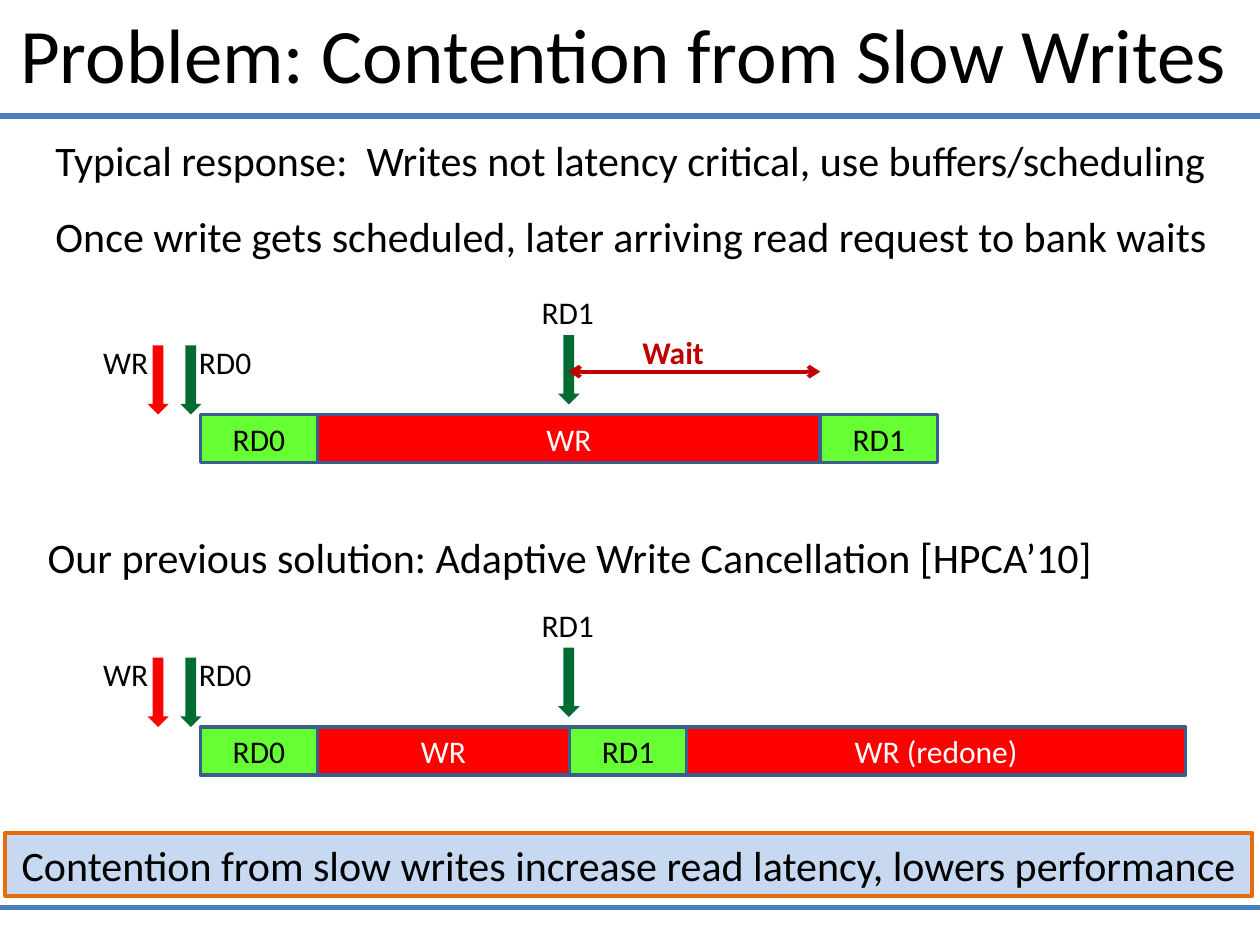
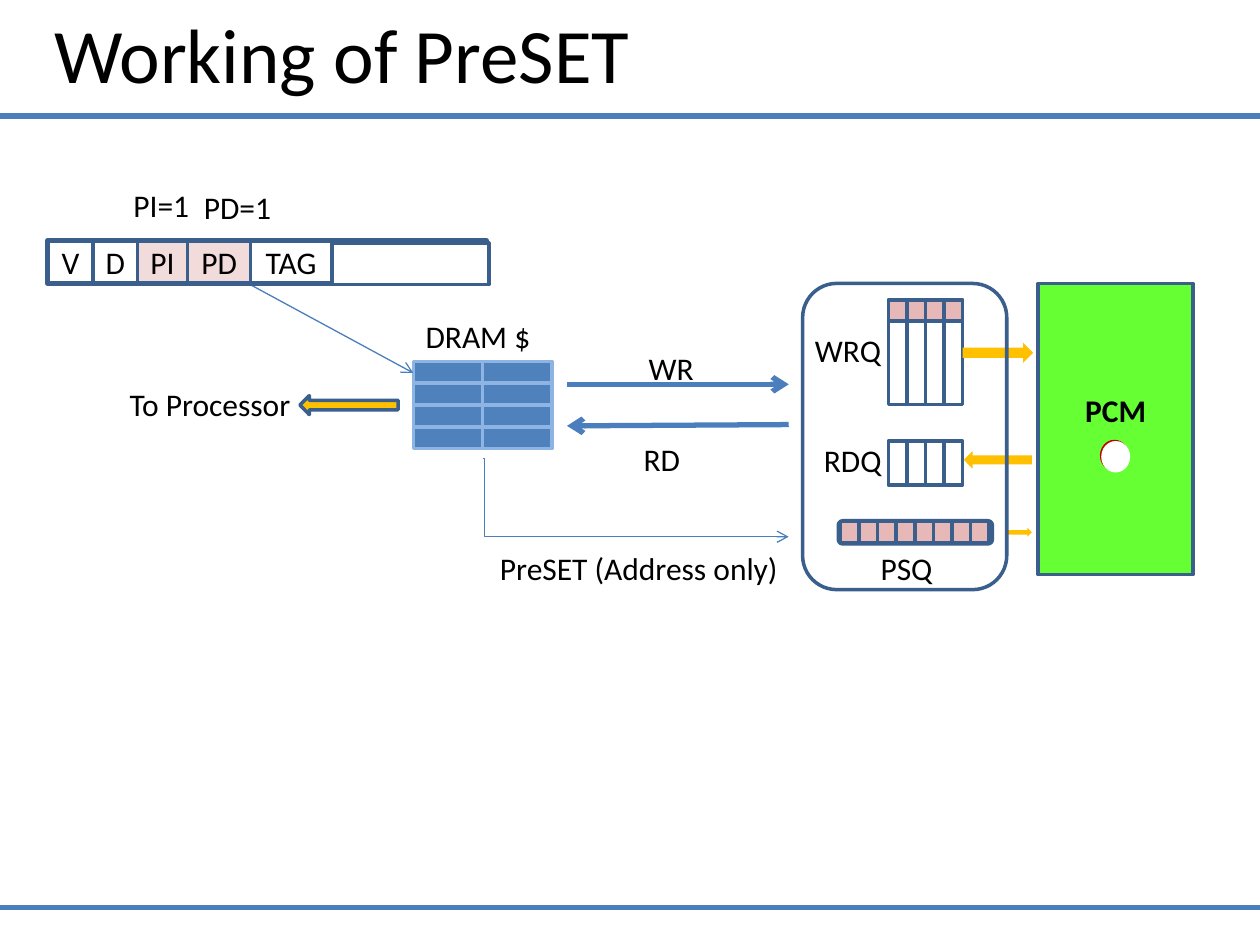
import itertools

import pptx
import pptx.dml.color
import pptx.enum.shapes
import pptx.enum.text
import pptx.oxml.ns
import pptx.util
from lxml import etree
from pptx.util import Inches

SHAPE = pptx.enum.shapes.MSO_SHAPE
CONNECTOR = pptx.enum.shapes.MSO_CONNECTOR
ALIGN = pptx.enum.text.PP_ALIGN
ANCHOR = pptx.enum.text.MSO_ANCHOR
qn = pptx.oxml.ns.qn

BLACK, WHITE = "000000", "FFFFFF"
RULE_BLUE, EDGE_BLUE = "4B7EBC", "3A5F8C"
GREEN, DARK_GREEN = "66FF33", "006C31"
RED, DARK_RED = "FF0000", "C00000"
PINK, PALE_PINK, GOLD = "E6B9B8", "F2DCDB", "FFC000"

EDGE = (EDGE_BLUE, 2)
THICK_EDGE = (EDGE_BLUE, 3)


def rgb(color):
    return pptx.dml.color.RGBColor.from_string(color)


def set_all(target, **values):
    for name, value in values.items():
        setattr(target, name, value)


def write(para, text, size=18, color=BLACK, bold=False, align=ALIGN.LEFT):
    span = para.add_run()
    span.text = text
    set_all(span.font, name="Calibri", size=pptx.util.Pt(size), bold=bold)
    span.font.color.rgb = rgb(color)
    para.alignment = align


def place(shape, box):
    for name, value in zip(("left", "top", "width", "height"), box):
        setattr(shape, name, Inches(value))


def add_label(slide, left, top, width, text, wrap=False, height=0.4, **look):
    frame = slide.shapes.add_textbox(*map(Inches, (left, top, width, height))).text_frame
    frame.word_wrap = wrap
    write(frame.paragraphs[0], text, **look)


def add_block(slide, box, fill=None, edge=None, text="", kind=SHAPE.RECTANGLE, **look):
    """Add a preset shape; edge is (colour, points), None means no fill or line."""
    block = slide.shapes.add_shape(kind, *map(Inches, box))
    block.shadow.inherit = False
    if fill:
        block.fill.solid()
        block.fill.fore_color.rgb = rgb(fill)
    else:
        block.fill.background()
    if edge:
        block.line.color.rgb = rgb(edge[0])
        block.line.width = pptx.util.Pt(edge[1])
    else:
        block.line.fill.background()
    if text:
        frame = block.text_frame
        set_all(frame, margin_left=0, margin_right=0, vertical_anchor=ANCHOR.MIDDLE)
        write(frame.paragraphs[0], text, align=ALIGN.CENTER, **look)
    return block


def add_line(slide, start, end, width=3, color=RULE_BLUE, arrows=(), kind=CONNECTOR.STRAIGHT):
    """Add a connector; arrows names the ends that get an open arrowhead."""
    line = slide.shapes.add_connector(kind, *map(Inches, (*start, *end)))
    line.line.color.rgb = rgb(color)
    line.line.width = pptx.util.Pt(width)
    properties = line.element.spPr
    for arrow in arrows:
        etree.SubElement(properties.find(qn("a:ln")), qn(f"a:{arrow}"), type="arrow")
    etree.SubElement(properties, qn("a:effectLst"))
    return line


def add_grid(slide, box, rows, columns, fill=None, edge=EDGE):
    left, top, width, height = box
    cell_width, cell_height = width / columns, height / rows
    for row, column in itertools.product(range(rows), range(columns)):
        cell = (left + column * cell_width, top + row * cell_height, cell_width, cell_height)
        add_block(slide, cell, fill, edge)


def add_slide(deck, layout, title, left, width):
    slide = deck.slides.add_slide(deck.slide_layouts.get_by_name(layout))
    for y in (0.92, 7.2):
        add_line(slide, (0, y), (10, y))
    place(slide.shapes.title, (left, 0, width, 0.96))
    frame = slide.shapes.title.text_frame
    set_all(frame, vertical_anchor=ANCHOR.TOP, word_wrap=True,
            auto_size=pptx.enum.text.MSO_AUTO_SIZE.NONE)
    write(frame.paragraphs[0], title, size=44)
    return slide


def fill_body(slide, box, lines):
    body = slide.placeholders[1]
    place(body, box)
    frame = body.text_frame
    set_all(frame, auto_size=pptx.enum.text.MSO_AUTO_SIZE.NONE, word_wrap=True)
    for number, line in enumerate(lines):
        para = frame.add_paragraph() if number else frame.paragraphs[0]
        write(para, line, size=24)
        para.space_before = pptx.util.Pt(14.5 if number else 0)
        properties = para._p.get_or_add_pPr()
        properties.set("marL", "0")
        properties.set("indent", "0")
        etree.SubElement(properties, qn("a:buNone"))


def add_timeline(slide, left, top, blocks):
    """Draw the request arrivals and, below them, the bank's busy blocks in order."""
    arrivals = (
        ("WR", 0, 0.39, 0.45, 0.46, RED),
        ("RD0", 0.76, 0.39, 0.71, 0.46, DARK_GREEN),
        ("RD1", 3.48, 0, 3.71, 0.38, DARK_GREEN),
    )
    for text, label_x, label_y, arrow_x, arrow_y, color in arrivals:
        add_block(slide, (left + arrow_x, top + arrow_y, 0.17, 0.55), color,
                  kind=SHAPE.DOWN_ARROW)
        add_label(slide, left + label_x, top + label_y, 0.7, text)
    x = left + 0.87
    for text, width in blocks:
        is_write = text.startswith("WR")
        add_block(slide, (x, top + 1.01, width, 0.38), RED if is_write else GREEN, EDGE,
                  text, color=WHITE if is_write else BLACK)
        x += width


def add_wait(slide, left, top, width):
    add_line(slide, (left, top + 0.36), (left + width, top + 0.36), 2.25, DARK_RED,
             ("headEnd", "tailEnd"))
    add_label(slide, left + 0.49, top, 0.7, "Wait", color=DARK_RED, bold=True)


def add_cache_line(slide, left, top):
    """Draw the tag entry with its status bits."""
    fields = (("V", 0.36, WHITE), ("D", 0.35, WHITE), ("PI", 0.4, PALE_PINK),
              ("PD", 0.5, PALE_PINK), ("TAG", 0.64, WHITE))
    x = left
    for text, width, fill in fields:
        add_block(slide, (x, top, width, 0.34), fill, EDGE, text)
        x += width
    add_block(slide, (left, top, 3.48, 0.34), edge=THICK_EDGE)
    add_block(slide, (x + 0.01, top + 0.02, 1.24, 0.33), WHITE, EDGE)
    add_label(slide, left + 0.58, top - 0.48, 0.65, "PI=1")
    add_label(slide, left + 1.14, top - 0.47, 0.74, "PD=1")


def add_dram_cache(slide, left, top):
    add_grid(slide, (left, top, 1.1, 0.69), 4, 2, "4F81BD", ("8EB4E3", 2))
    add_label(slide, left, top - 0.4, 1.04, "DRAM $")
    add_block(slide, (left - 0.9, top + 0.27, 0.78, 0.15), GOLD, EDGE, kind=SHAPE.LEFT_ARROW)
    add_label(slide, left - 2.35, top + 0.14, 1.59, "To Processor")


def add_requests(slide, left, top):
    """Draw the traffic between the cache and the queues."""
    right = left + 1.76
    add_line(slide, (left, top), (right, top), arrows=("tailEnd",))
    add_line(slide, (right, top + 0.32), (left, top + 0.33), arrows=("tailEnd",))
    add_label(slide, left + 0.55, top - 0.33, 0.6, "WR")
    add_label(slide, left + 0.51, top + 0.39, 0.6, "RD")
    preset = add_line(slide, (left - 0.67, top + 0.59), (right, top + 1.21), 0.75,
                      arrows=("tailEnd",), kind=CONNECTOR.ELBOW)
    guides = preset.element.spPr.find(qn("a:prstGeom")).get_or_add_avLst()
    etree.SubElement(guides, qn("a:gd"), name="adj1", fmla="val 600")
    add_label(slide, left - 0.63, top + 1.26, 2.43, "PreSET (Address only)")


def add_queues(slide, left, top):
    """Draw the write, read and PreSET queues with their arrows to the memory."""
    queue_x = left + 0.68
    add_grid(slide, (queue_x, top + 0.3, 0.59, 0.66), 1, 4)
    add_grid(slide, (queue_x, top + 0.13, 0.59, 0.17), 1, 4, PINK)
    add_grid(slide, (queue_x, top + 1.25, 0.59, 0.35), 1, 4)
    add_block(slide, (left + 0.29, top + 1.89, 1.21, 0.17), edge=THICK_EDGE,
              kind=SHAPE.ROUNDED_RECTANGLE)
    add_grid(slide, (left + 0.3, top + 1.89, 1.18, 0.17), 1, 8, PINK)
    arrows = ((1.27, 0.47, 0.56, 0.16, SHAPE.RIGHT_ARROW),
              (1.28, 1.33, 0.54, 0.14, SHAPE.LEFT_ARROW),
              (1.62, 1.94, 0.2, 0.07, SHAPE.RIGHT_ARROW))
    for x, y, width, height, kind in arrows:
        add_block(slide, (left + x, top + y, width, height), GOLD, kind=kind)
    for text, x, y in (("WRQ", 0, 0.33), ("RDQ", 0.07, 1.2), ("PSQ", 0.52, 2.06)):
        add_label(slide, left + x, top + y, 0.8, text)
    add_block(slide, (left, top, 1.62, 2.43), edge=EDGE, kind=SHAPE.ROUNDED_RECTANGLE)


def add_memory(slide, left, top):
    memory = add_block(slide, (left, top, 1.23, 2.31), GREEN, EDGE, "PCM", bold=True)
    memory.text_frame.margin_bottom = Inches(0.35)
    for shift, color in ((0, DARK_RED), (0.01, WHITE)):
        add_block(slide, (left + 0.49 + shift, top + 1.24 + shift, 0.23, 0.25), color,
                  kind=SHAPE.OVAL)


def build_contention_slide(deck):
    slide = add_slide(deck, "Title and Content", "Problem: Contention from Slow Writes",
                      0.06, 9.94)
    fill_body(slide, (0.34, 1.02, 9.5, 1.11), (
        "Typical response:  Writes not latency critical, use buffers/scheduling",
        "Once write gets scheduled, later arriving read request to bank waits"))
    add_timeline(slide, 0.72, 2.28, (("RD0", 0.93), ("WR", 3.99), ("RD1", 0.93)))
    add_wait(slide, 4.51, 2.59, 2)
    add_label(slide, 0.28, 4.17, 9.5, wrap=True, height=0.5, size=24,
              text="Our previous solution: Adaptive Write Cancellation [HPCA’10]")
    add_timeline(slide, 0.72, 4.76, (("RD0", 0.93), ("WR", 2), ("RD1", 0.93),
                                     ("WR (redone)", 3.96)))
    add_block(slide, (0.04, 6.61, 9.9, 0.5), "C6D9F1", ("E46C0A", 2.25), size=24,
              text="Contention from slow writes increase read latency, lowers performance")


def build_preset_slide(deck):
    slide = add_slide(deck, "Title Only", "Working of PreSET", 0.33, 8.83)
    add_dram_cache(slide, 3.28, 2.87)
    add_memory(slide, 8.24, 2.25)
    add_queues(slide, 6.37, 2.25)
    add_requests(slide, 4.5, 3.05)
    add_line(slide, (1.97, 2.25), (3.28, 2.96), 0.75, arrows=("tailEnd",))
    add_cache_line(slide, 0.38, 1.91)


def main():
    deck = pptx.Presentation()
    set_all(deck, slide_width=Inches(10), slide_height=Inches(7.5))
    build_contention_slide(deck)
    build_preset_slide(deck)
    deck.save("out.pptx")


if __name__ == "__main__":
    main()
